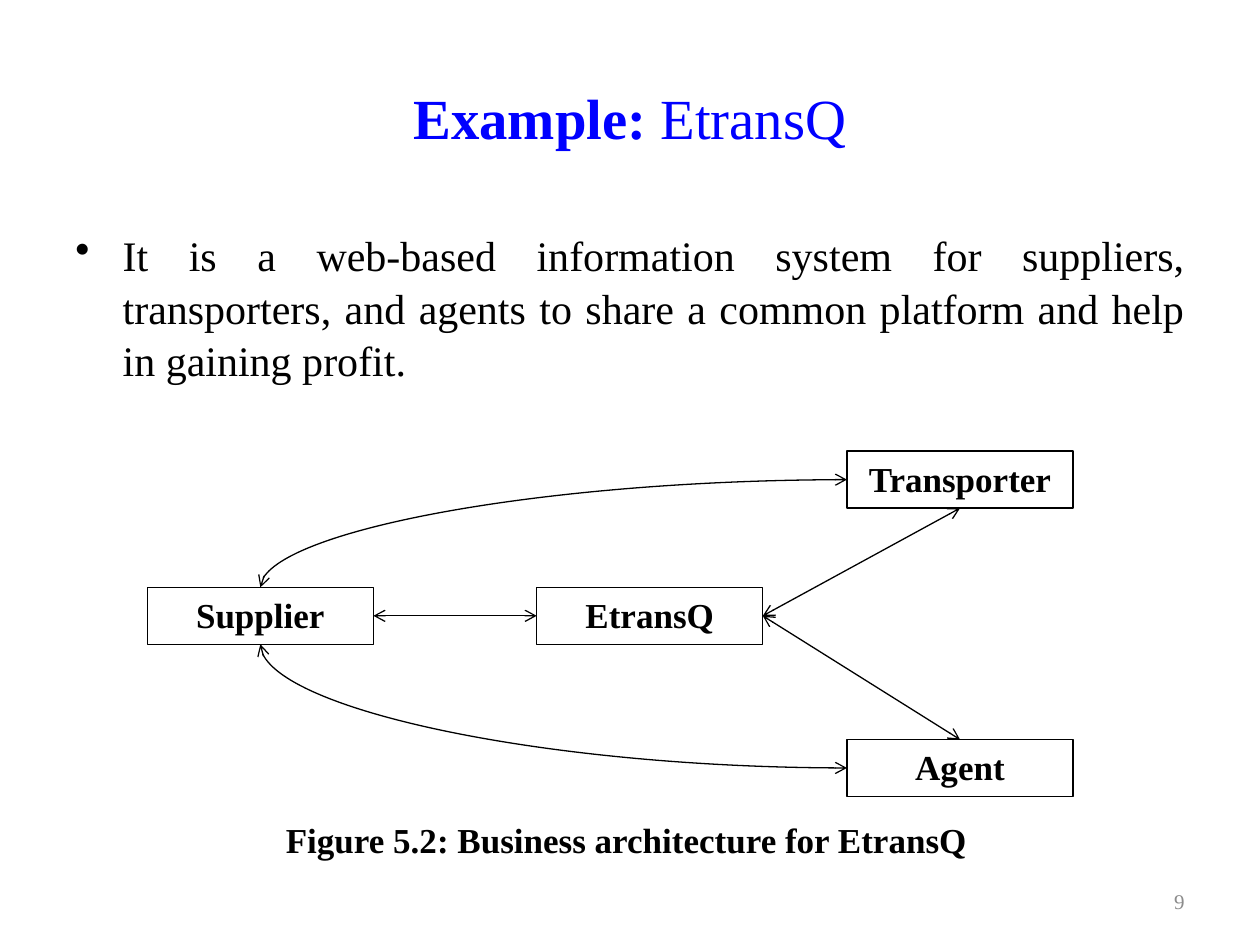
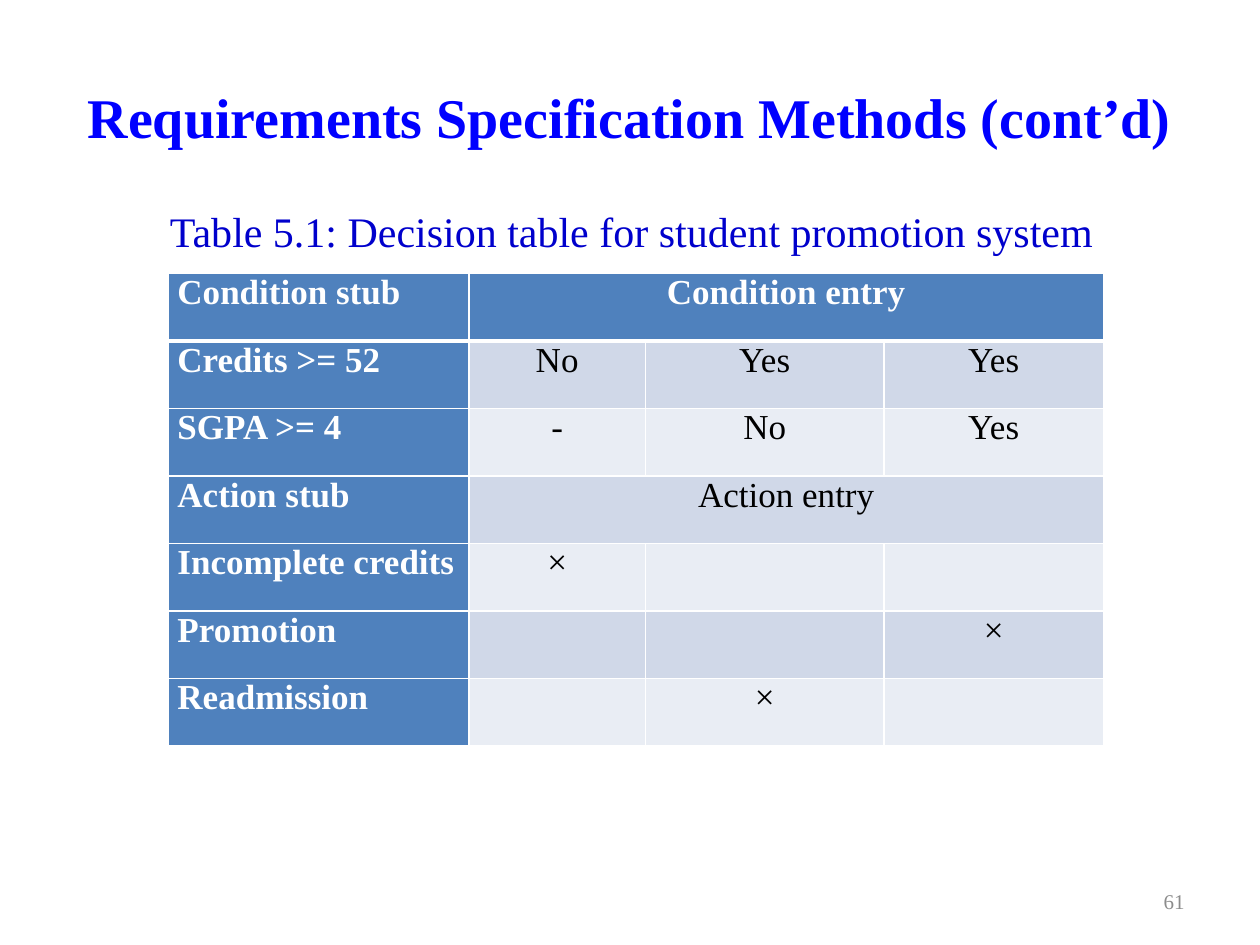
import lxml.etree
import pptx
import pptx.dml.color
import pptx.enum.shapes
import pptx.enum.text
import pptx.oxml.ns
import pptx.util

Pt = pptx.util.Pt
RGBColor = pptx.dml.color.RGBColor
ALIGN = pptx.enum.text.PP_ALIGN
ANCHOR = pptx.enum.text.MSO_ANCHOR
SHAPE = pptx.enum.shapes.MSO_SHAPE
CONNECTOR = pptx.enum.shapes.MSO_CONNECTOR
qn = pptx.oxml.ns.qn

FONT = "Times New Roman"
BLACK = RGBColor(0x00, 0x00, 0x00)
WHITE = RGBColor(0xFF, 0xFF, 0xFF)
TITLE_BLUE = RGBColor(0x00, 0x00, 0xFF)
CAPTION_BLUE = RGBColor(0x00, 0x00, 0xCC)
NUMBER_GRAY = RGBColor(0x8C, 0x8C, 0x8C)
HEADER_BLUE = RGBColor(0x4F, 0x81, 0xBD)
BANDS = (RGBColor(0xD0, 0xD8, 0xE8), RGBColor(0xE9, 0xED, 0xF4))

# Boxes: left, top, width, height in points
TITLE_BOX = (36, 21.6, 648, 90)
NUMBER_BOX = (516, 500.4, 168, 28.8)
BODY_BOX = (36, 126, 648, 96)
DIAGRAM_BOX = (84.2, 257.8, 529, 230)
TABLE_CAPTION_BOX = (90, 113.8, 594, 36)
TABLE_BOX = (96.4, 156.4, 534.2, 270)

NODE_SIZE = (129.2, 32.6)


def style_paragraph(paragraph, size, color, bold=False, align=ALIGN.LEFT):
    paragraph.alignment = align
    font = paragraph.font
    font.name, font.size, font.bold = FONT, Pt(size), bold
    font.color.rgb = color


def add_text(slide, box, text, size, color, bold=False, align=ALIGN.LEFT,
             anchor=ANCHOR.TOP):
    shape = slide.shapes.add_textbox(*map(Pt, box))
    frame = shape.text_frame
    frame.word_wrap = True
    frame.vertical_anchor = anchor
    paragraph = frame.paragraphs[0]
    paragraph.text = text
    style_paragraph(paragraph, size, color, bold, align)
    return paragraph


def add_frame(presentation, title, title_size, number):
    """Blank slide with the shared title and page number; title is (text, bold) runs."""
    slide = presentation.slides.add_slide(presentation.slide_layouts[6])
    paragraph = add_text(slide, TITLE_BOX, "", title_size, TITLE_BLUE,
                         None, ALIGN.CENTER, ANCHOR.MIDDLE)
    for text, bold in title:
        run = paragraph.add_run()
        run.text = text
        run.font.bold = bold
    add_text(slide, NUMBER_BOX, number, 12, NUMBER_GRAY,
             align=ALIGN.RIGHT, anchor=ANCHOR.MIDDLE)
    return slide


def add_bullet(slide, box, text):
    paragraph = add_text(slide, box, "", 24, BLACK, align=ALIGN.JUSTIFY)
    paragraph.text = text
    paragraph.line_spacing = 1.05
    properties = paragraph._p.get_or_add_pPr()
    properties.set("marL", str(Pt(27)))
    properties.set("indent", str(-Pt(27)))
    bullet = lxml.etree.Element(qn("a:buChar"), char="•")
    properties.find(qn("a:defRPr")).addprevious(bullet)


# Business architecture diagram
def add_label_box(slide, box, text, line_color, align):
    shape = slide.shapes.add_shape(SHAPE.RECTANGLE, *map(Pt, box))
    shape.shadow.inherit = False
    shape.fill.solid()
    shape.fill.fore_color.rgb = WHITE
    shape.line.color.rgb = line_color
    shape.line.width = Pt(0.75)
    shape.text_frame.vertical_anchor = ANCHOR.TOP
    paragraph = shape.text_frame.paragraphs[0]
    paragraph.text = text
    style_paragraph(paragraph, 20, BLACK, True, align)
    return shape


def add_double_arrow(slide, kind, ends=(0, 0, 0, 0)):
    connector = slide.shapes.add_connector(kind, *ends)
    connector.line.color.rgb = BLACK
    connector.line.width = Pt(0.75)
    line = connector.line._get_or_add_ln()
    for end in ("a:headEnd", "a:tailEnd"):
        lxml.etree.SubElement(line, qn(end), type="arrow")
    lxml.etree.SubElement(connector._element.spPr, qn("a:effectLst"))
    return connector


def add_diagram(slide, box):
    left, top, width, height = box
    node_width, node_height = NODE_SIZE
    right = width - node_width
    places = {
        "Supplier": (0, 77.8),
        "EtransQ": (222.5, 77.8),
        "Transporter": (right, 0),
        "Agent": (right, 164.8),
    }
    nodes = {
        name: add_label_box(slide, (left + x, top + y, *NODE_SIZE), name,
                            BLACK, ALIGN.CENTER)
        for name, (x, y) in places.items()
    }

    # Straight arrows, joined at side middles
    for start, start_side, end, end_side in (
            ("Supplier", 3, "EtransQ", 1),
            ("EtransQ", 3, "Agent", 0),
            ("EtransQ", 3, "Transporter", 2)):
        arrow = add_double_arrow(slide, CONNECTOR.STRAIGHT)
        arrow.begin_connect(nodes[start], start_side)
        arrow.end_connect(nodes[end], end_side)

    # Quarter curves between the supplier and the outer nodes
    supplier = nodes["Supplier"]
    for name, supplier_y in (("Transporter", supplier.top),
                             ("Agent", supplier.top + supplier.height)):
        node = nodes[name]
        curve = add_double_arrow(slide, CONNECTOR.CURVE, (
            node.left, node.top + node.height // 2,
            supplier.left + supplier.width // 2, supplier_y))
        curve._element.spPr.find(qn("a:prstGeom")).set("prst", "curvedConnector2")

    caption = add_label_box(slide, (left + 79.2, top + 210.2, 396, 18.7),
                            "Figure 5.2: Business architecture for EtransQ",
                            WHITE, ALIGN.LEFT)
    frame = caption.text_frame
    frame.margin_left = frame.margin_top = frame.margin_right = frame.margin_bottom = 0


# Decision table
def set_borders(cell, bottom_width):
    properties = cell._tc.get_or_add_tcPr()
    for position, side in enumerate(("lnL", "lnR", "lnT", "lnB")):
        width = bottom_width if side == "lnB" else 1
        line = lxml.etree.Element(qn("a:" + side), w=str(Pt(width)))
        fill = lxml.etree.SubElement(line, qn("a:solidFill"))
        lxml.etree.SubElement(fill, qn("a:srgbClr"), val=str(WHITE))
        properties.insert(position, line)


def add_decision_table(slide, box):
    rows = (
        ("Condition stub", "Condition entry", "", ""),
        ("Credits >= 52", "No", "Yes", "Yes"),
        ("SGPA >= 4", "-", "No", "Yes"),
        ("Action stub", "Action entry", "", ""),
        ("Incomplete credits", "×", "", ""),
        ("Promotion", "", "", "×"),
        ("Readmission", "", "×", ""),
    )
    column_widths = (171.6, 100.8, 136.4, 125.4)
    table = slide.shapes.add_table(len(rows), len(column_widths),
                                   *map(Pt, box)).table
    for column, width in zip(table.columns, column_widths):
        column.width = Pt(width)
    for row_index, texts in enumerate(rows):
        for column_index, text in enumerate(texts):
            cell = table.cell(row_index, column_index)
            header = row_index == 0 or column_index == 0
            cell.margin_left = cell.margin_right = Pt(5)
            cell.margin_top = cell.margin_bottom = 0
            cell.fill.solid()
            cell.fill.fore_color.rgb = (
                HEADER_BLUE if header else BANDS[(row_index - 1) % 2])
            set_borders(cell, 3 if row_index == 0 else 1)
            paragraph = cell.text_frame.paragraphs[0]
            paragraph.text = text
            style_paragraph(paragraph, 20, WHITE if header else BLACK, header,
                            ALIGN.CENTER if column_index else ALIGN.LEFT)
    for row_index in (0, 3):
        table.cell(row_index, 1).merge(table.cell(row_index, 3))


def build_example_slide(presentation):
    slide = add_frame(presentation, [("Example: ", True), ("EtransQ", False)],
                      32.4, "9")
    add_bullet(slide, BODY_BOX,
               "It is a web-based information system for suppliers, transporters, "
               "and agents to share a common platform and help in gaining profit.")
    add_diagram(slide, DIAGRAM_BOX)


def build_table_slide(presentation):
    slide = add_frame(presentation,
                      [("Requirements Specification Methods (cont’d)", True)],
                      32, "61")
    add_decision_table(slide, TABLE_BOX)
    add_text(slide, TABLE_CAPTION_BOX,
             "Table 5.1: Decision table for student promotion system",
             24, CAPTION_BLUE)


def main():
    presentation = pptx.Presentation()
    presentation.slide_width, presentation.slide_height = Pt(720), Pt(540)
    build_example_slide(presentation)
    build_table_slide(presentation)
    presentation.save("out.pptx")


if __name__ == "__main__":
    main()
